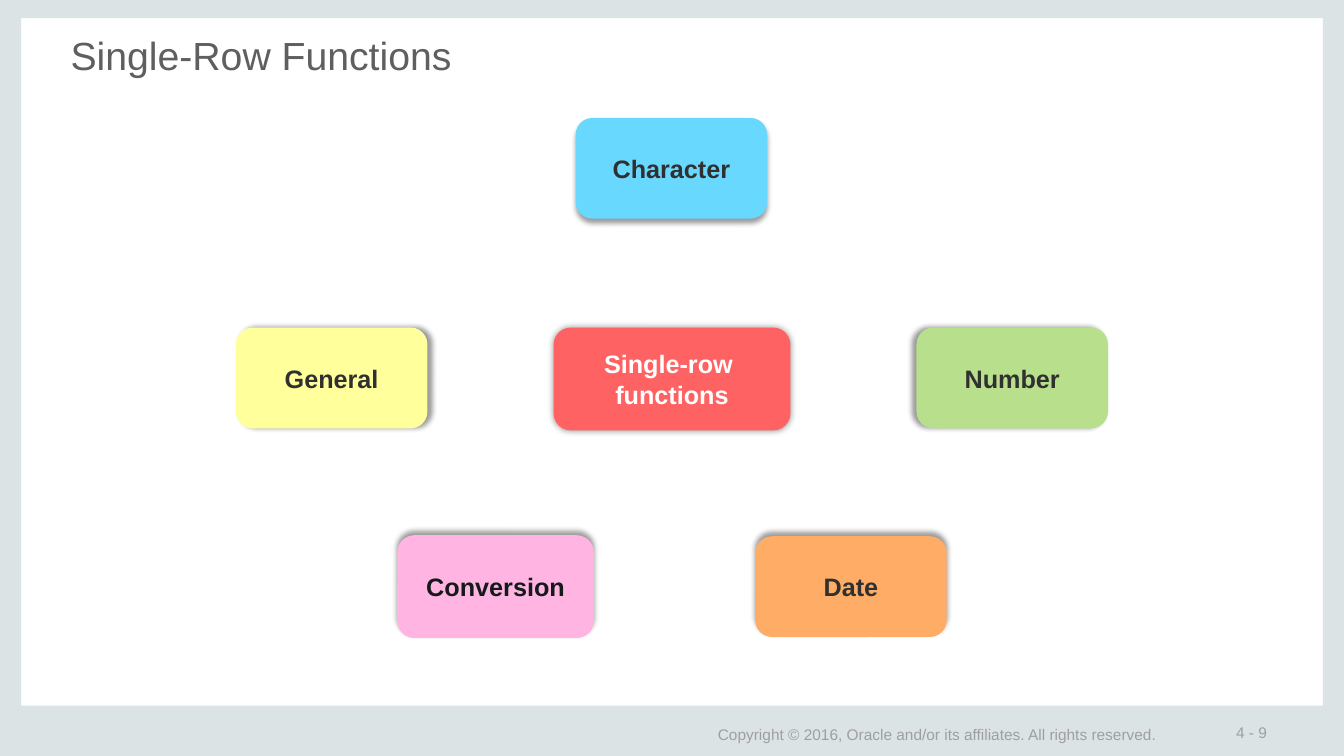
from lxml import etree
from pptx import Presentation
from pptx import util as u
from pptx.dml.color import RGBColor
from pptx.enum import shapes, text
from pptx.oxml.ns import qn

COLORS = {
    "frame": "DCE3E4", "footer": "9F9F9F", "title": "5F5F5F",
    "dark": "303030", "black": "141919", "white": "FFFFFF", "shadow": "000000",
    "blue": "69D8FF", "pink": "FFB4E2", "orange": "FFAD66",
    "green": "B8E08C", "yellow": "FFFF9B", "red": "FF6262",
}
WIDTH, HEIGHT = 13.33, 7.5


class SlideBuilder:
    font = "Arial"

    def __init__(self, slide):
        self.slide = slide

    def color(self, name):
        return RGBColor.from_string(COLORS[name])

    def set_text(self, shape, words, size, color, bold=False, align=None, inset=(0.1, 0.05)):
        frame = shape.text_frame
        frame.text = words
        frame.word_wrap = True
        frame.margin_left = frame.margin_right = u.Inches(inset[0])
        frame.margin_top = frame.margin_bottom = u.Inches(inset[1])
        for paragraph in frame.paragraphs:
            paragraph.alignment = align
            for run in paragraph.runs:
                run.font.name = self.font
                run.font.size = u.Pt(size)
                run.font.bold = bold
                run.font.color.rgb = self.color(color)
        return frame

    def box(self, kind, place, fill):
        shape = self.slide.shapes.add_shape(kind, *map(u.Inches, place))
        shape.shadow.inherit = False
        shape.fill.solid()
        shape.fill.fore_color.rgb = self.color(fill)
        shape.line.fill.background()
        return shape

    def bar(self, *place):
        self.box(shapes.MSO_SHAPE.RECTANGLE, place, "frame")

    def label(self, words, place, size, color, inset, anchor):
        shape = self.slide.shapes.add_textbox(*map(u.Inches, place))
        frame = self.set_text(shape, words, size, color, inset=inset)
        frame.vertical_anchor = anchor

    def card(self, words, place, fill, color, blur, distance, angle):
        shape = self.box(shapes.MSO_SHAPE.ROUNDED_RECTANGLE, place, fill)
        frame = self.set_text(shape, words, 18, color, True, text.PP_ALIGN.CENTER)
        frame.vertical_anchor = text.MSO_ANCHOR.MIDDLE
        self.cast_shadow(shape, blur, distance, angle)

    def cast_shadow(self, shape, blur, distance, angle):
        effects = shape._element.spPr.find(qn("a:effectLst"))
        shadow = etree.SubElement(
            effects, qn("a:outerShdw"), blurRad=str(u.Pt(blur)),
            dist=str(u.Pt(distance)), dir=str(angle * 60000), rotWithShape="0")
        tint = etree.SubElement(shadow, qn("a:srgbClr"), val=COLORS["shadow"])
        etree.SubElement(tint, qn("a:alpha"), val="40000")


def main():
    presentation = Presentation()
    presentation.slide_width = u.Inches(WIDTH)
    presentation.slide_height = u.Inches(HEIGHT)
    builder = SlideBuilder(presentation.slides.add_slide(presentation.slide_layouts[6]))

    # Frame around the page
    builder.bar(WIDTH - 0.21, 0, 0.21, HEIGHT)
    builder.bar(0, 0, 0.21, HEIGHT)
    builder.bar(0, 7, WIDTH, 0.5)
    builder.bar(0, 0, WIDTH, 0.18)

    # Footer
    for words, place in (
        ("4 - 9", (12.13, 7.17, 1.18, 0.2)),
        ("Copyright © 2016, Oracle and/or its affiliates. All rights reserved.",
         (6.99, 7.17, 5.34, 0.22)),
    ):
        builder.label(words, place, 11, "footer", (0.13, 0.07), text.MSO_ANCHOR.MIDDLE)

    # Title
    builder.label("Single-Row Functions", (0.68, 0.29, 11.97, 0.96), 28, "title",
                  (0.02, 0.02), text.MSO_ANCHOR.TOP)

    # Function groups, each with its shadow falling towards the centre
    for words, place, fill, color, angle in (
        ("Character", (5.71, 1.17, 1.9, 1), "blue", "dark", 90),
        ("Conversion", (3.94, 5.31, 1.95, 1.02), "pink", "black", 270),
        ("Date", (7.49, 5.32, 1.9, 1), "orange", "dark", 270),
        ("Number", (9.09, 3.25, 1.9, 1), "green", "dark", 180),
        ("General", (2.34, 3.25, 1.9, 1), "yellow", "dark", 0),
    ):
        builder.card(words, place, fill, color, 4, 3, angle)

    # Centre
    builder.card("Single-row \nfunctions", (5.49, 3.25, 2.35, 1.02), "red", "white", 5, 0, 0)

    presentation.save("out.pptx")


if __name__ == "__main__":
    main()
